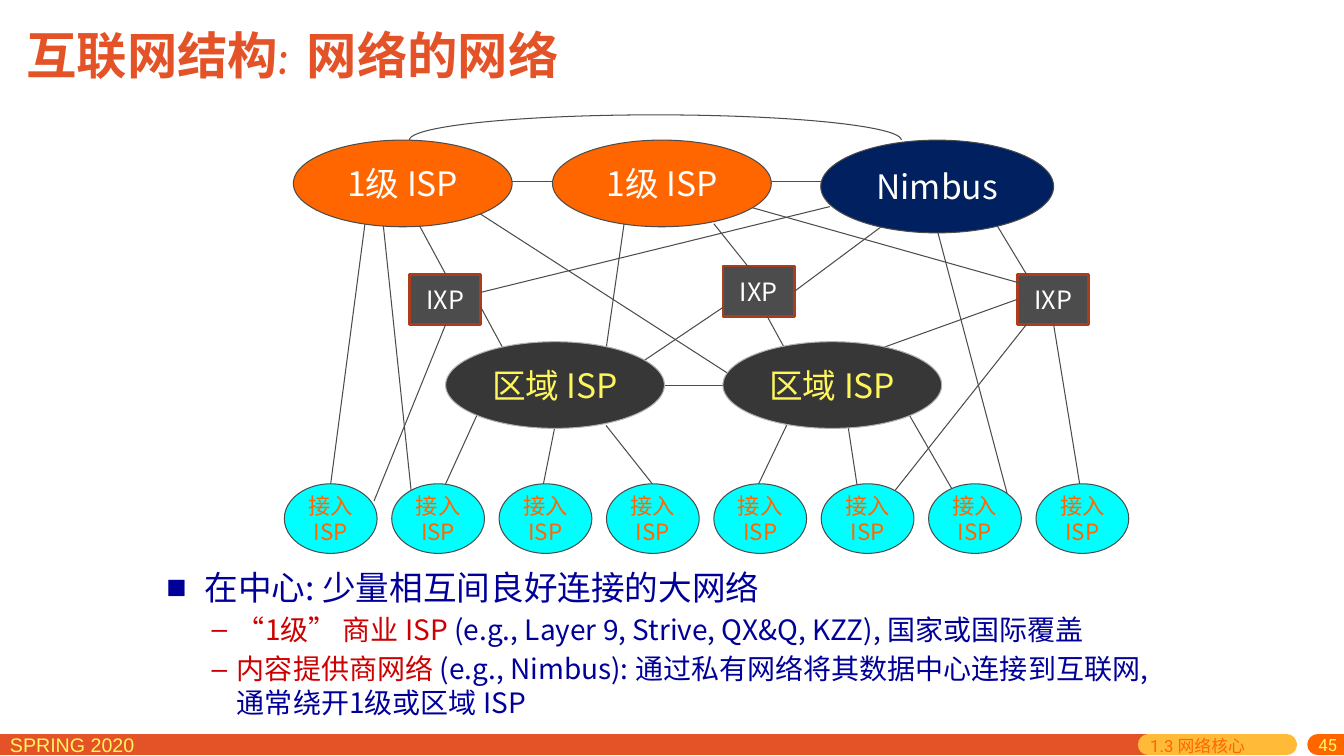
from typing import NamedTuple

from lxml import etree
from pptx import Presentation
from pptx.dml.color import RGBColor
from pptx.enum.shapes import MSO_CONNECTOR, MSO_SHAPE
from pptx.enum.text import MSO_ANCHOR, MSO_AUTO_SIZE, PP_ALIGN
from pptx.oxml.ns import qn
from pptx.util import Inches, Pt

STRAIGHT = MSO_CONNECTOR.STRAIGHT
ELLIPSE, RECTANGLE, ARC = MSO_SHAPE.OVAL, MSO_SHAPE.RECTANGLE, MSO_SHAPE.ARC
TOP, MIDDLE = MSO_ANCHOR.TOP, MSO_ANCHOR.MIDDLE
LEFT, CENTER, RIGHT = PP_ALIGN.LEFT, PP_ALIGN.CENTER, PP_ALIGN.RIGHT
CJK_FONT = "Noto Sans CJK SC"
COLORS = {
    "title": "E45327", "amber": "FFBA37", "orange": "FF6600", "yellow": "FFF65C",
    "navy": "002060", "blue": "000099", "red": "CC0000", "cyan": "00FFFF",
    "gray": "4C4C4C", "dark": "373737", "silver": "B2B2B2", "rust": "A93D1D",
    "white": "FFFFFF",
}


class NodeStyle(NamedTuple):
    geometry: MSO_SHAPE
    width: float
    height: float
    fill: str
    outline: str
    line_width: float
    text_color: str
    size: int


class Node(NamedTuple):
    style: NodeStyle
    left: float
    top: float
    text: str


class Link(NamedTuple):
    x1: float
    y1: float
    x2: float
    y2: float
    color: str = "gray"
    width: float = 0.75
    round_cap: bool = False


class Label(NamedTuple):
    left: float
    top: float
    width: float
    height: float
    text: str
    size: int
    font: str
    color: str
    anchor: MSO_ANCHOR = MIDDLE
    align: PP_ALIGN = LEFT
    margin_top: float = 0.05


class Bullet(NamedTuple):
    level: int
    mark: str
    margin: float
    indent: float
    size: int
    runs: list[tuple[str, str]]


TIER_ONE = NodeStyle(ELLIPSE, 2.17, 0.86, "orange", "gray", 0.75, "white", 24)
PROVIDER = NodeStyle(ELLIPSE, 2.31, 0.92, "navy", "gray", 0.75, "white", 24)
REGIONAL = NodeStyle(ELLIPSE, 2.17, 0.86, "dark", "silver", 0.75, "yellow", 24)
ACCESS = NodeStyle(ELLIPSE, 0.92, 0.69, "cyan", "gray", 0.75, "orange", 16)
EXCHANGE = NodeStyle(RECTANGLE, 0.71, 0.5, "gray", "rust", 2, "white", 18)

ACCESS_COUNT, ACCESS_LEFT, ACCESS_STEP = 8, 2.82, 1.065
EXCHANGES = [Node(EXCHANGE, left, top, "IXP")
             for left, top in ((4.06, 2.72), (7.17, 2.64), (10.09, 2.72))]
NETWORKS = [
    Node(TIER_ONE, 2.91, 1.39, "1级 ISP"),
    Node(TIER_ONE, 5.48, 1.39, "1级 ISP"),
    Node(PROVIDER, 8.14, 1.39, "Nimbus"),
    Node(REGIONAL, 4.42, 3.39, "区域 ISP"),
    Node(REGIONAL, 7.17, 3.39, "区域 ISP"),
    *(Node(ACCESS, ACCESS_LEFT + i * ACCESS_STEP, 4.8, "接入\nISP")
      for i in range(ACCESS_COUNT)),
]
LINKS = [
    # between networks of the same tier
    Link(5.62, 1.8, 5.04, 1.8), Link(8.19, 1.8, 7.61, 1.8), Link(7.17, 3.82, 6.59, 3.82),
    # from the top tier down to regional and access networks
    Link(3.62, 2.22, 3.28, 4.8), Link(3.8, 2.22, 4.08, 4.89), Link(9.3, 2.3, 9.99, 4.9),
    Link(6.19, 2.22, 6.01, 3.47), Link(4.76, 2.12, 7.26, 3.73),
    # from the top tier to exchange points
    Link(4.15, 2.22, 4.42, 2.72), Link(8.23, 2.05, 4.77, 2.9), Link(7.08, 2.22, 7.52, 2.77),
    Link(8.78, 2.22, 7.88, 2.89), Link(7.46, 2.06, 10.12, 2.81), Link(9.83, 2.14, 10.18, 2.72),
    # from exchange points to regional and access networks
    Link(4.77, 3.05, 5.04, 3.55), Link(7.61, 3.14, 7.79, 3.47), Link(7.17, 3.05, 6.28, 3.65),
    Link(10.09, 2.97, 8.67, 3.48), Link(4.42, 3.22, 3.71, 4.97), Link(10.45, 3.22, 10.71, 4.81),
    Link(10.18, 3.22, 8.85, 4.9),
    # from regional to access networks
    Link(4.73, 4.12, 4.42, 4.8), Link(5.5, 4.25, 5.39, 4.8), Link(6.01, 4.22, 6.47, 4.8),
    Link(7.84, 4.14, 7.52, 4.81), Link(8.41, 4.22, 8.5, 4.81), Link(9.02, 4.12, 9.47, 4.9),
]
FOOTER_BARS = [
    Link(0, 7.39, 11.39, 7.39, "title", 15),
    Link(11.39, 7.39, 12.76, 7.39, "amber", 15, True),
    Link(13.07, 7.39, 13.33, 7.39, "orange", 15, True),
]
FOOTER_LABELS = [
    Label(0, 7.22, 2.29, 0.31, "SPRING 2020", 14, "Arial", "yellow", TOP),
    Label(12.97, 7.29, 0.39, 0.24, "45", 12, "Roboto", "yellow", MIDDLE, RIGHT, 0),
    Label(11.31, 7.29, 1.51, 0.21, "1.3 网络核心", 12, "Roboto", "orange"),
]
BULLETS = [
    Bullet(0, "■", 0.43, -0.38, 24, [("在中心: 少量相互间良好连接的大网络", "blue")]),
    Bullet(1, "–", 0.75, -0.25, 20, [
        ("“1级” 商业 ISP ", "red"),
        ("(e.g., Layer 9, Strive, QX&Q, KZZ), 国家或国际覆盖", "blue")]),
    Bullet(1, "–", 0.75, -0.25, 20, [
        ("内容提供商网络 ", "red"),
        ("(e.g., Nimbus): 通过私有网络将其数据中心连接到互联网, 通常绕开1级或区域 ISP", "blue")]),
]


def rgb(name: str) -> RGBColor:
    return RGBColor.from_string(COLORS[name])


def format_paragraph(paragraph, font: str, size: int, color: str, align: PP_ALIGN) -> None:
    paragraph.alignment = align
    paragraph.font.size = Pt(size)
    paragraph.font.color.rgb = rgb(color)
    paragraph.font.name = font
    defaults = paragraph._p.pPr.find(qn("a:defRPr"))
    etree.SubElement(defaults, qn("a:ea")).set("typeface", CJK_FONT)


def place(shape, left: float, top: float, width: float, height: float) -> None:
    shape.left, shape.top = Inches(left), Inches(top)
    shape.width, shape.height = Inches(width), Inches(height)


def add_link(slide, link: Link) -> None:
    connector = slide.shapes.add_connector(
        STRAIGHT, Inches(link.x1), Inches(link.y1), Inches(link.x2), Inches(link.y2))
    connector.line.color.rgb = rgb(link.color)
    connector.line.width = Pt(link.width)
    if link.round_cap:
        connector.line._get_or_add_ln().set("cap", "rnd")
    etree.SubElement(connector._element.spPr, qn("a:effectLst"))


def add_node(slide, node: Node) -> None:
    style = node.style
    shape = slide.shapes.add_shape(style.geometry, Inches(node.left), Inches(node.top),
                                   Inches(style.width), Inches(style.height))
    shape.shadow.inherit = False
    shape.fill.solid()
    shape.fill.fore_color.rgb = rgb(style.fill)
    shape.line.color.rgb = rgb(style.outline)
    shape.line.width = Pt(style.line_width)
    frame = shape.text_frame
    frame.word_wrap = style.geometry == RECTANGLE
    frame.vertical_anchor = MIDDLE
    frame.text = node.text
    for paragraph in frame.paragraphs:
        format_paragraph(paragraph, CJK_FONT, style.size, style.text_color, CENTER)


def add_peering_arc(slide) -> None:
    """Join the first and last top-tier networks above the row."""
    arc = slide.shapes.add_shape(ARC, Inches(4.06), Inches(1.14), Inches(4.88), Inches(0.5))
    arc.adjustments[0], arc.adjustments[1] = 106.82, 0
    arc.shadow.inherit = False
    arc.fill.background()
    arc.line.color.rgb = rgb("gray")
    arc.line.width = Pt(0.75)


def add_label(slide, label: Label) -> None:
    box = slide.shapes.add_textbox(Inches(label.left), Inches(label.top),
                                   Inches(label.width), Inches(label.height))
    frame = box.text_frame
    frame.word_wrap = True
    frame.vertical_anchor = label.anchor
    frame.margin_top = Inches(label.margin_top)
    frame.text = label.text
    format_paragraph(frame.paragraphs[0], label.font, label.size, label.color, label.align)


def add_bullet(paragraph, bullet: Bullet) -> None:
    paragraph.level = bullet.level
    properties = paragraph._p.get_or_add_pPr()
    properties.set("marL", str(Inches(bullet.margin)))
    properties.set("indent", str(Inches(bullet.indent)))
    mark_color = etree.SubElement(properties, qn("a:buClr"))
    etree.SubElement(mark_color, qn("a:srgbClr")).set("val", COLORS[bullet.runs[0][1]])
    etree.SubElement(properties, qn("a:buFont")).set("typeface", "Arial")
    etree.SubElement(properties, qn("a:buChar")).set("char", bullet.mark)
    format_paragraph(paragraph, CJK_FONT, bullet.size, bullet.runs[0][1], LEFT)
    for text, color in bullet.runs:
        run = paragraph.add_run()
        run.text = text
        run.font.color.rgb = rgb(color)


def fill_title(title) -> None:
    place(title, 0.16, 0.18, 5.8, 0.71)
    frame = title.text_frame
    frame.auto_size = MSO_AUTO_SIZE.NONE
    frame.vertical_anchor = MIDDLE
    frame.text = "互联网结构: 网络的网络"
    format_paragraph(frame.paragraphs[0], "Comic Neue", 36, "title", LEFT)
    frame.paragraphs[0].font.bold = True


def fill_body(body) -> None:
    place(body, 1.5, 5.57, 10.05, 1.8)
    frame = body.text_frame
    frame.auto_size = MSO_AUTO_SIZE.NONE
    frame.paragraphs[0].space_before = Pt(0)
    for index, bullet in enumerate(BULLETS):
        add_bullet(frame.add_paragraph() if index else frame.paragraphs[0], bullet)


def main() -> None:
    presentation = Presentation()
    presentation.slide_width, presentation.slide_height = Inches(13.33), Inches(7.5)
    slide = presentation.slides.add_slide(presentation.slide_layouts[1])
    fill_title(slide.shapes.title)
    fill_body(slide.placeholders[1])
    for node in EXCHANGES:
        add_node(slide, node)
    for link in LINKS + FOOTER_BARS:
        add_link(slide, link)
    add_peering_arc(slide)
    for node in NETWORKS:
        add_node(slide, node)
    for label in FOOTER_LABELS:
        add_label(slide, label)
    presentation.save("out.pptx")


if __name__ == "__main__":
    main()
